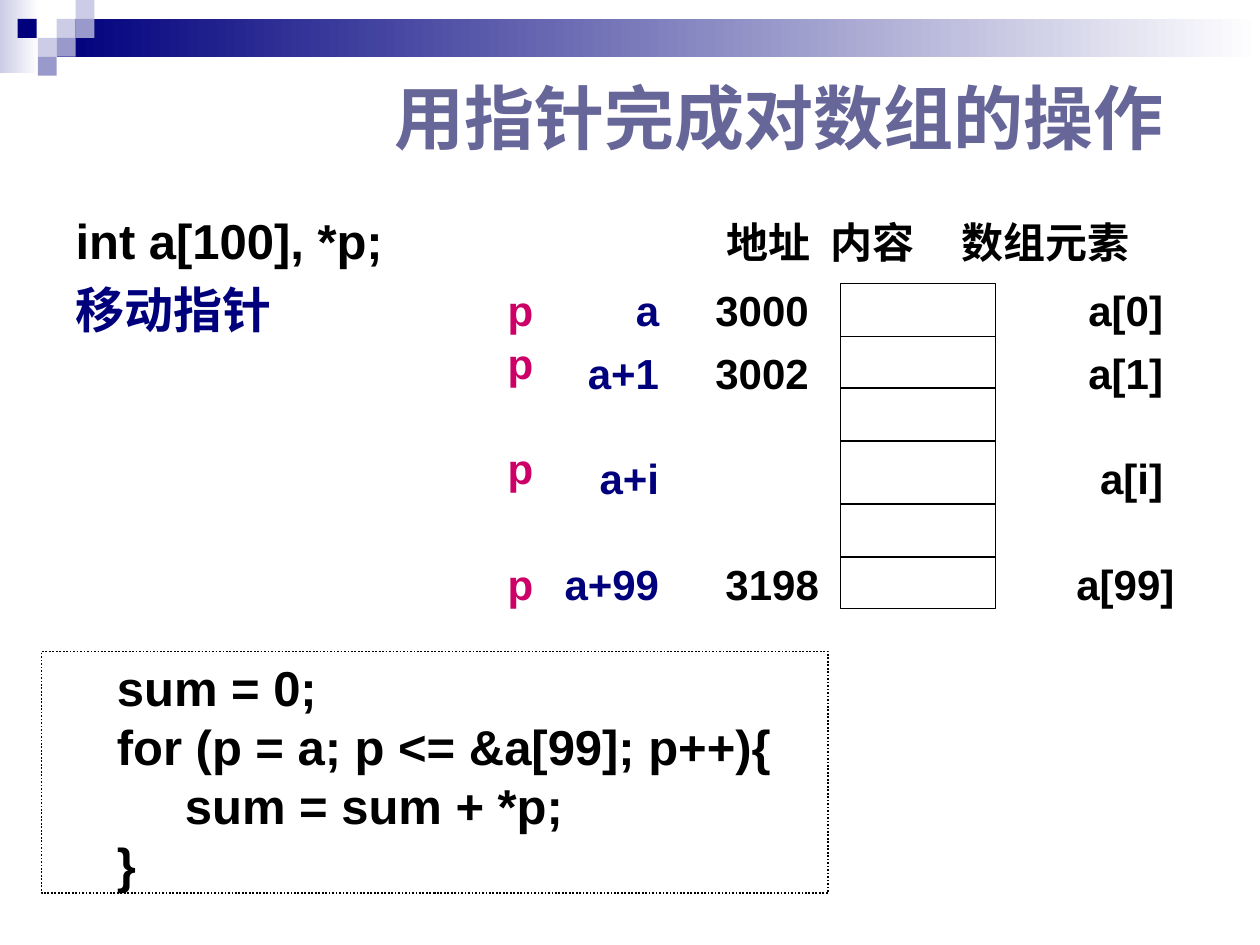
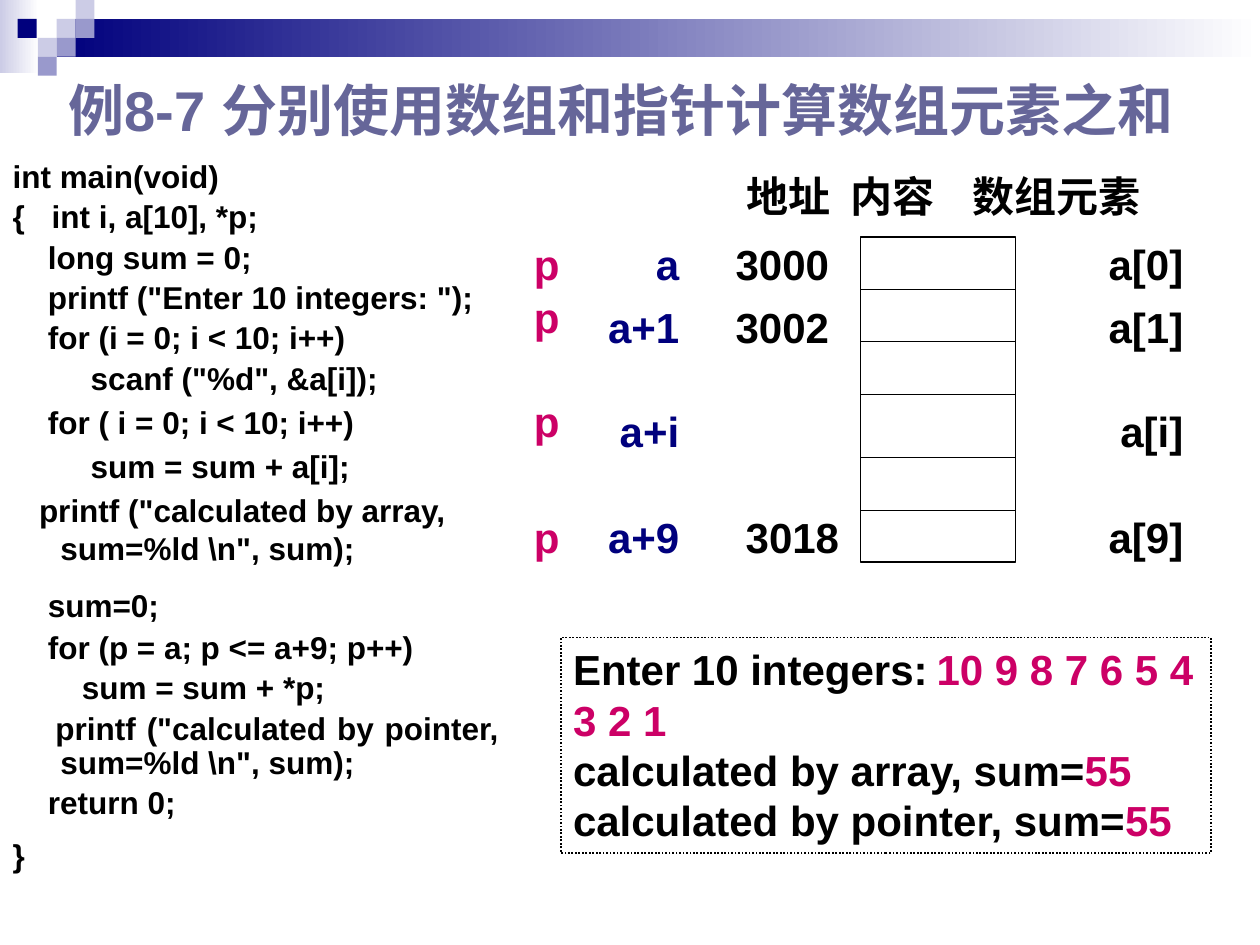
from pptx import Presentation
from pptx.dml.color import RGBColor
from pptx.enum.dml import MSO_LINE_DASH_STYLE as Dash
from pptx.enum.shapes import MSO_CONNECTOR as Connector, MSO_SHAPE as Shape
from pptx.enum.text import MSO_ANCHOR as Anchor, MSO_AUTO_SIZE as AutoSize, PP_ALIGN as Align
from pptx.oxml.ns import qn
from pptx.util import Pt

PX = 9144  # 100 px to the inch
COLORS = {"black": "000000", "white": "FFFFFF", "navy": "00007D", "title": "666699",
          "pale": "CCCCE6", "mid": "9999CC", "pink": "CC0066"}

# Band: (left, top, width, height) with its start colour, fading to white
FADES = [((0, 0, 31, 58), "pale"), ((45, 15, 955, 30), "navy")]
TILES = [(45, 15, "pale"), (60, 0, "pale"), (60, 15, "mid"), (30, 30, "pale"),
         (14, 15, "navy"), (45, 30, "mid"), (30, 45, "mid")]
TILE = 15

# Memory diagram, measured from the top left of its cells
CELLS = (123, 258)
CELL_CUTS = [42, 83, 125, 175, 217]
ROW_TOPS = [0, 50, 133, 217]
POINTER_TOPS = [0, 42, 125, 217]
ROW_HEIGHT = 42

# Lines are (text or runs, format); a run is (text, format)
MOVING = {
    "title": ("用指针完成对数组的操作", (303, 52, 665, 79), {"size": 40}),
    "body": ((0, 162, 358, 125), {"size": 28, "before": 5.6, "left": 50}, [
        ("int a[100], *p;", {}),
        ("移动指针", {"color": "navy"}),
    ]),
    "memory": {
        "at": (667, 225), "pointer_left": -292, "last_shift": (8, 9),
        "headers": [("地址", -100), ("内容", -18), ("数组元素", 86)],
        "rows": [("a", "3000", "a[0]"), ("a+1", "3002", "a[1]"),
                 ("a+i", "", "a[i]"), ("a+99", "3198", "a[99]")],
    },
    "panel": ((33, 517, 624, 192), {"size": 28, "left": 50}, [
        ("sum = 0;", {}),
        ("for (p = a; p <= &a[99]; p++){", {}),
        ("sum = sum + *p;", {"left": 104}),
        ("}", {}),
    ]),
}

LOOSE = {"spacing": 1, "align": Align.LEFT}
COMPARING = {
    "title": ("例8-7 分别使用数组和指针计算数组元素之和", (0, 35, 942, 83),
              {"size": 32, "align": Align.RIGHT}),
    "body": ((0, 123, 406, 552),
             {"size": 18, "before": 3.6, "spacing": 0.9, "align": Align.JUSTIFY}, [
        ("int main(void)", {}),
        ("{\tint i, a[10], *p;", {"left": 31, "first": -31}),
        ("long sum = 0;", {"left": 28}),
        ('printf ("Enter 10 integers: ");', {"left": 28}),
        ("for (i = 0; i < 10; i++)", {"left": 28}),
        ('scanf ("%d", &a[i]);', {"left": 62}),
        ("for ( i = 0; i < 10; i++)", {"left": 28, **LOOSE}),
        ("sum = sum + a[i];", {"left": 62, **LOOSE}),
        ('printf ("calculated by array, sum=%ld \\n", sum);',
         {"left": 38, "first": -17, **LOOSE}),
        ("sum=0;", {"left": 28, "before": 11, **LOOSE}),
        ("for (p = a; p <= a+9; p++)", {"left": 28, "before": 4.6}),
        ("sum = sum + *p;", {"left": 55}),
        ('printf ("calculated by pointer, sum=%ld \\n", sum);', {"left": 38, "first": -4}),
        ("return 0;", {"left": 28}),
        ("}", {"before": 11}),
    ]),
    "memory": {
        "at": (683, 188), "pointer_left": -287, "last_shift": (8, 0),
        "headers": [("地址", -100), ("内容", -18), ("数组元素", 79)],
        "rows": [("a", "3000", "a[0]"), ("a+1", "3002", "a[1]"),
                 ("a+i", "", "a[i]"), ("a+9", "3018", "a[9]")],
    },
    "panel": ((445, 506, 516, 171), {"size": 24}, [
        ([("Enter 10 integers:", {}), (" ", {"size": 18}),
          ("10 9 8 7 6 5 4 3 2 1", {"color": "pink"})], {}),
        ([("calculated by array, sum=", {}), ("55", {"color": "pink"})], {}),
        ([("calculated by pointer, sum=", {}), ("55", {"color": "pink"})], {}),
    ]),
}


def emu(lengths):
    return [length * PX for length in lengths]


def rgb(name):
    return RGBColor.from_string(COLORS[name])


def style_para(para, align=Align.LEFT, before=0, spacing=1, left=0, first=0, **_):
    para.alignment = align
    para.space_before = Pt(before)
    para.line_spacing = spacing
    props = para._p.get_or_add_pPr()
    props.set("marL", str(left * PX))
    props.set("indent", str(first * PX))
    props.append(props.makeelement(qn("a:buNone"), {}))


def style_run(span, size=24, color="black", font="Arial", **_):
    span.font.size = Pt(size)
    span.font.bold = True
    span.font.name = font
    span.font.color.rgb = rgb(color)


def write(shape, lines, anchor=Anchor.TOP, **style):
    """Fill a shape with a text, or with lines that may override the style."""
    frame = shape.text_frame
    frame.word_wrap = True
    frame.auto_size = AutoSize.NONE
    frame.vertical_anchor = anchor
    if isinstance(lines, str):
        lines = [(lines, {})]
    for number, (runs, line_style) in enumerate(lines):
        para = frame.add_paragraph() if number else frame.paragraphs[0]
        merged = {**style, **line_style}
        style_para(para, **merged)
        for text, run_style in [(runs, {})] if isinstance(runs, str) else runs:
            span = para.add_run()
            span.text = text
            style_run(span, **{**merged, **run_style})


def place(shape, at):
    shape.left, shape.top, shape.width, shape.height = emu(at)


def add_rect(page, at, fill=None, line=None, fade=False):
    box = page.shapes.add_shape(Shape.RECTANGLE, *emu(at))
    box.shadow.inherit = False
    if fade:
        box.fill.gradient()
        box.fill.gradient_angle = 0
        for stop, name in zip(box.fill.gradient_stops, (fill, "white")):
            stop.color.rgb = rgb(name)
    elif fill:
        box.fill.solid()
        box.fill.fore_color.rgb = rgb(fill)
    else:
        box.fill.background()
    if line:
        box.line.color.rgb = rgb("black")
        box.line.width = Pt(line)
    else:
        box.line.fill.background()
    return box


def add_label(page, text, at, **style):
    box = page.shapes.add_textbox(*emu(at))
    write(box, text, anchor=Anchor.MIDDLE, **style)


def add_divider(page, left, right, height):
    line = page.shapes.add_connector(Connector.STRAIGHT, *emu((left, height, right, height)))
    line.line.color.rgb = rgb("black")
    line.line.width = Pt(0.75)
    props = line._element.spPr
    props.append(props.makeelement(qn("a:effectLst"), {}))


def move_band_to_layout(page, layout):
    """Draw the band and hand it to the layout that all pages share."""
    band = [add_rect(page, at, fill, fade=True) for at, fill in FADES]
    band += [add_rect(page, (left, top, TILE, TILE), fill) for left, top, fill in TILES]
    for box in band:
        layout.shapes.element.append(box.element)


def draw_memory(page, at, pointer_left, last_shift, headers, rows):
    left, top = at
    width, height = CELLS
    # Cells
    add_rect(page, (left, top, width, height), line=0.75)
    for cut in CELL_CUTS:
        add_divider(page, left, left + width, top + cut)
    # Column headers
    for text, offset in headers:
        add_label(page, text, (left + offset, top - 58, 170, 50), font="Times New Roman")
    # Pointer, expression, address and element of each row
    for number, (expression, address, element) in enumerate(rows):
        row_top = top + ROW_TOPS[number]
        address_shift, element_shift = last_shift if number == len(rows) - 1 else (0, 0)
        add_label(page, "p", (left + pointer_left, top + POINTER_TOPS[number], 58, ROW_HEIGHT),
                  color="pink", align=Align.RIGHT)
        add_label(page, expression, (left - 234, row_top, 100, ROW_HEIGHT),
                  color="navy", align=Align.RIGHT)
        if address:
            add_label(page, address, (left - 109 + address_shift, row_top, 110, ROW_HEIGHT))
        add_label(page, element, (left + 166 + element_shift, row_top, 100, ROW_HEIGHT),
                  align=Align.RIGHT)


def build_page(page, content):
    text, at, style = content["title"]
    place(page.shapes.title, at)
    write(page.shapes.title, text, anchor=Anchor.BOTTOM, color="title", **style)

    at, style, lines = content["body"]
    body = page.placeholders[1]
    place(body, at)
    write(body, lines, **style)

    draw_memory(page, **content["memory"])

    at, style, lines = content["panel"]
    panel = add_rect(page, at, line=1)
    panel.line.dash_style = Dash.ROUND_DOT
    write(panel, lines, **style)


def main():
    deck = Presentation()
    deck.slide_width, deck.slide_height = emu((1000, 750))
    layout = deck.slide_layouts[1]
    for number, content in enumerate((MOVING, COMPARING)):
        page = deck.slides.add_slide(layout)
        if number == 0:
            move_band_to_layout(page, layout)
        build_page(page, content)
    deck.save("out.pptx")


if __name__ == "__main__":
    main()
